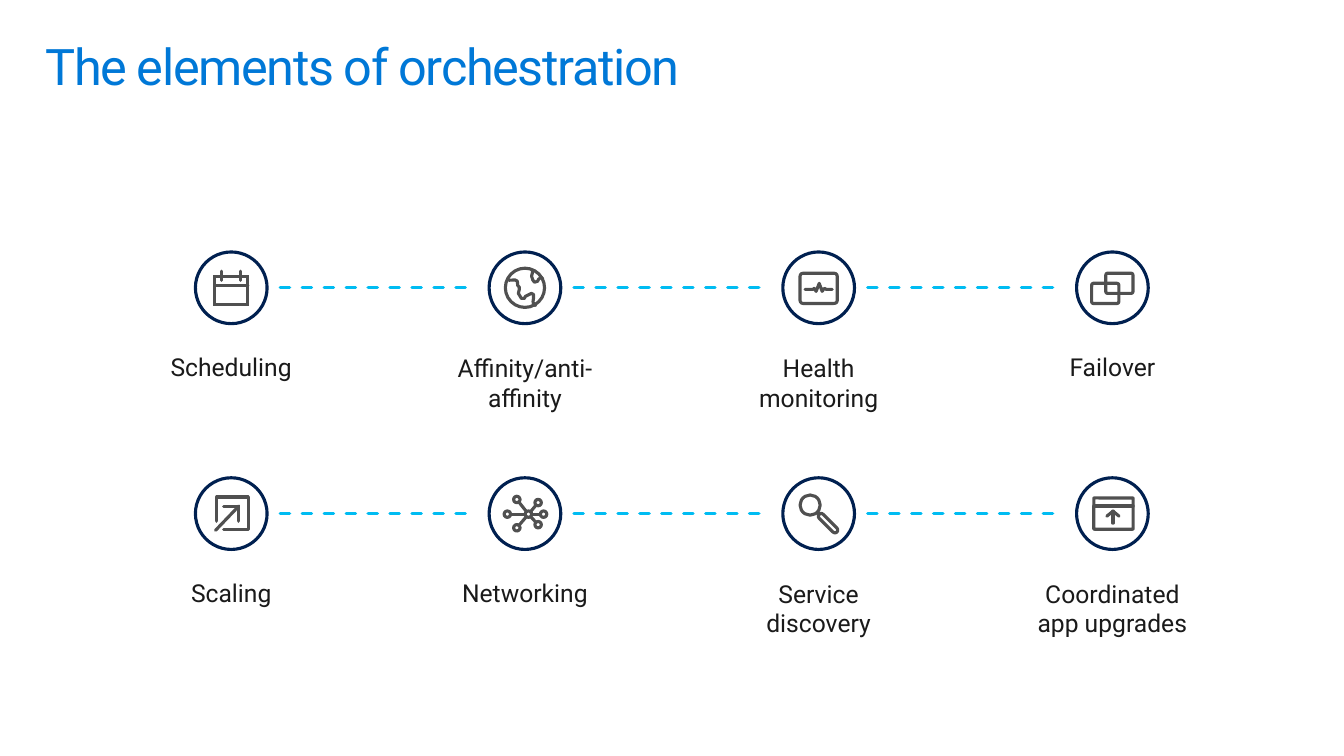
from dataclasses import dataclass
from math import hypot

from lxml.etree import SubElement
from pptx import Presentation
from pptx.dml.color import RGBColor
from pptx.enum.dml import MSO_LINE
from pptx.enum.shapes import MSO_CONNECTOR, MSO_SHAPE
from pptx.enum.text import MSO_AUTO_SIZE, PP_ALIGN
from pptx.oxml.ns import qn
from pptx.util import Pt


@dataclass(frozen=True)
class Theme:
    font: str = "Roboto"
    title_size: float = 36
    label_size: float = 17.6
    title_color: str = "0078D7"
    label_color: str = "1A1A1A"
    ring_color: str = "002050"
    icon_color: str = "505050"
    link_color: str = "00BCF2"
    background: str = "FFFFFF"
    stroke: float = 2.25


class SlideBuilder:
    """Draws on one slide; shapes and lines are placed relative to the origin."""

    def __init__(self, slide, theme):
        self.shapes = slide.shapes
        self.theme = theme
        self.origin = (0, 0)

    def point(self, x, y):
        return Pt(self.origin[0] + x), Pt(self.origin[1] + y)

    def outline(self, shape, color, dash=None, join="round"):
        shape.line.color.rgb = RGBColor.from_string(color)
        shape.line.width = Pt(self.theme.stroke)
        if dash:
            shape.line.dash_style = dash
        line = shape.line._get_or_add_ln()
        line.set("cap", "rnd")
        SubElement(line, qn("a:" + join))

    def text(self, words, left, top, width, height, size, color, inset):
        box = self.shapes.add_textbox(*self.point(left, top), Pt(width), Pt(height))
        frame = box.text_frame
        frame.word_wrap = True
        frame.margin_left = frame.margin_right = Pt(11.5)
        frame.margin_top = frame.margin_bottom = Pt(inset)
        paragraph = frame.paragraphs[0]
        paragraph.text = words
        paragraph.font.name = self.theme.font
        paragraph.font.size = Pt(size)
        paragraph.font.color.rgb = RGBColor.from_string(color)
        return frame, paragraph

    def title(self, words):
        theme = self.theme
        _, paragraph = self.text(words, 21, 23, 918, 70.6,
                                 theme.title_size, theme.title_color, 7.2)
        paragraph.line_spacing = 0.9
        paragraph.runs[0].font._element.set("spc", "-100")

    def label(self, words, width, height):
        theme = self.theme
        frame, paragraph = self.text(words, -width / 2, 35, width, height,
                                     theme.label_size, theme.label_color, 11.5)
        frame.auto_size = MSO_AUTO_SIZE.SHAPE_TO_FIT_TEXT
        paragraph.alignment = PP_ALIGN.CENTER
        paragraph.space_after = Pt(23.5)

    def box(self, kind, left, top, width, height, color=None, fill=None, corner=None):
        shape = self.shapes.add_shape(kind, *self.point(left, top), Pt(width), Pt(height))
        shape.shadow.inherit = False
        if fill:
            shape.fill.solid()
            shape.fill.fore_color.rgb = RGBColor.from_string(fill)
        else:
            shape.fill.background()
        if corner is not None:
            shape.adjustments[0] = corner
        join = "miter" if kind == MSO_SHAPE.RECTANGLE else "round"
        self.outline(shape, color or self.theme.icon_color, join=join)
        return shape

    def circle(self, x, y, diameter, color=None, fill=None):
        self.box(MSO_SHAPE.OVAL, x - diameter / 2, y - diameter / 2,
                 diameter, diameter, color, fill)

    def rounded(self, left, top, width, height, corner):
        return self.box(MSO_SHAPE.ROUNDED_RECTANGLE, left, top, width, height, corner=corner)

    def line(self, x1, y1, x2, y2, color=None, dash=None):
        connector = self.shapes.add_connector(
            MSO_CONNECTOR.STRAIGHT, *self.point(x1, y1), *self.point(x2, y2))
        self.outline(connector, color or self.theme.icon_color, dash)
        SubElement(connector._element.spPr, qn("a:effectLst"))

    def polyline(self, *points):
        start, *rest = [self.point(x, y) for x, y in points]
        builder = self.shapes.build_freeform(*start)
        builder.add_line_segments(rest, close=False)
        shape = builder.convert_to_shape()
        shape.shadow.inherit = False
        shape.fill.background()
        self.outline(shape, self.theme.icon_color)


# Icons, drawn around the centre of their ring
def calendar(builder):
    builder.box(MSO_SHAPE.RECTANGLE, -11.9, -8.3, 23.8, 20.2)
    for x in (-6.8, 6.8):
        builder.line(x, -11.9, x, -5.4)
    builder.line(-11.9, -1.8, 11.9, -1.8)


def globe(builder):
    builder.circle(0, 0, 28)
    builder.polyline((7.6, 12.6), (6.1, 11.9), (5.8, 9.7), (6.1, 7.6), (6.1, 4.7),
                     (4.7, 4), (3.2, 4.7), (0.4, 6.1), (-0.4, 7.6), (-2.5, 7.6),
                     (-4.7, 4), (-4, 1.1), (-4, -0.4), (-5.2, -1.8), (-5.4, -4.7),
                     (-7, -5.6), (-11.2, -5.4), (-11.9, -6.1))
    builder.polyline((12.6, -6.8), (11, -7.2), (9.7, -6.1), (9, -4.7), (6.8, -4),
                     (5.6, -5.6), (4.7, -8.3), (5.4, -11.2), (5.4, -12.6))


def heartbeat(builder):
    builder.rounded(-13.3, -10.4, 26.6, 21.6, 0.1)
    builder.polyline((-9.7, 1.1), (-4, 1.1), (-3.2, 0.4), (-1.8, 2.5), (0.4, -3.2),
                     (2.5, 2.5), (4, 0.4), (5.4, 1.1), (9.7, 1.1))


def windows(builder):
    for left, top in ((-4.7, -10.4), (-14.8, -3.2)):
        builder.rounded(left, top, 19.4, 14.4, 0.09)


def scale_arrow(builder):
    builder.polyline((5.4, 5.4), (5.4, -5.4), (-5.4, -5.4))
    builder.polyline((-5.4, 11.2), (12.2, 11.2), (12.2, -11.9), (-10.4, -11.9), (-10.4, 5.4))
    builder.line(5.4, -5.4, -11.2, 11.9)


def network(builder):
    hub_x, hub_y, diameter = 2.5, 0.4, 4.6
    builder.circle(hub_x, hub_y, diameter)
    for x, y in ((13.3, 0.4), (-12.6, 0.4), (9.4, 7.9), (-5.8, 10.1), (9.4, -7.9), (-5.8, -10.1)):
        builder.circle(x, y, diameter)
        trim = diameter / 2 / hypot(x - hub_x, y - hub_y)
        dx, dy = (x - hub_x) * trim, (y - hub_y) * trim
        builder.line(hub_x + dx, hub_y + dy, x - dx, y - dy)


def magnifier(builder):
    builder.circle(-6.1, -6.1, 14.4)
    builder.rounded(-2.3, 4.8, 18, 4, 0.5).rotation = 45
    builder.line(-1.1, -1.1, 0.4, 0.4)


def upgrade(builder):
    builder.rounded(-13.3, -11.2, 28.1, 22.3, 0.02)
    builder.line(-13.3, -5.4, 14.8, -5.4)
    builder.line(0.4, 6.8, 0.4, -1.8)
    builder.polyline((-4, 1.8), (0.4, -1.8), (4.7, 1.8))


# Each element: label, label width, label height, icon
ROWS = (
    (("Scheduling", 127.4, 44, calendar), ("Affinity/anti-affinity", 158.4, 66, globe),
     ("Health monitoring", 127.4, 66, heartbeat), ("Failover", 127.4, 44, windows)),
    (("Scaling", 127.4, 44, scale_arrow), ("Networking", 158.4, 44, network),
     ("Service discovery", 127.4, 66, magnifier),
     ("Coordinated app upgrades", 142.6, 66, upgrade)),
)
FIRST_X, FIRST_Y, COLUMN_PITCH, ROW_PITCH = 165.2, 205.6, 209.8, 161.3
RING, LINK_START, LINK_END = 51.2, 35, 175.5


def main():
    presentation = Presentation()
    presentation.slide_width, presentation.slide_height = Pt(960), Pt(540)
    slide = presentation.slides.add_slide(presentation.slide_layouts[6])
    theme = Theme()
    builder = SlideBuilder(slide, theme)
    builder.title("The elements of orchestration")

    # Grid of ringed icons, joined by dashed links
    for row, elements in enumerate(ROWS):
        for column, (words, width, height, draw_icon) in enumerate(elements):
            builder.origin = (FIRST_X + column * COLUMN_PITCH, FIRST_Y + row * ROW_PITCH)
            builder.label(words, width, height)
            if column < len(elements) - 1:
                builder.line(LINK_START, 0, LINK_END, 0, theme.link_color, MSO_LINE.DASH)
            builder.circle(0, 0, RING, theme.ring_color, theme.background)
            draw_icon(builder)

    presentation.save("out.pptx")


if __name__ == "__main__":
    main()
